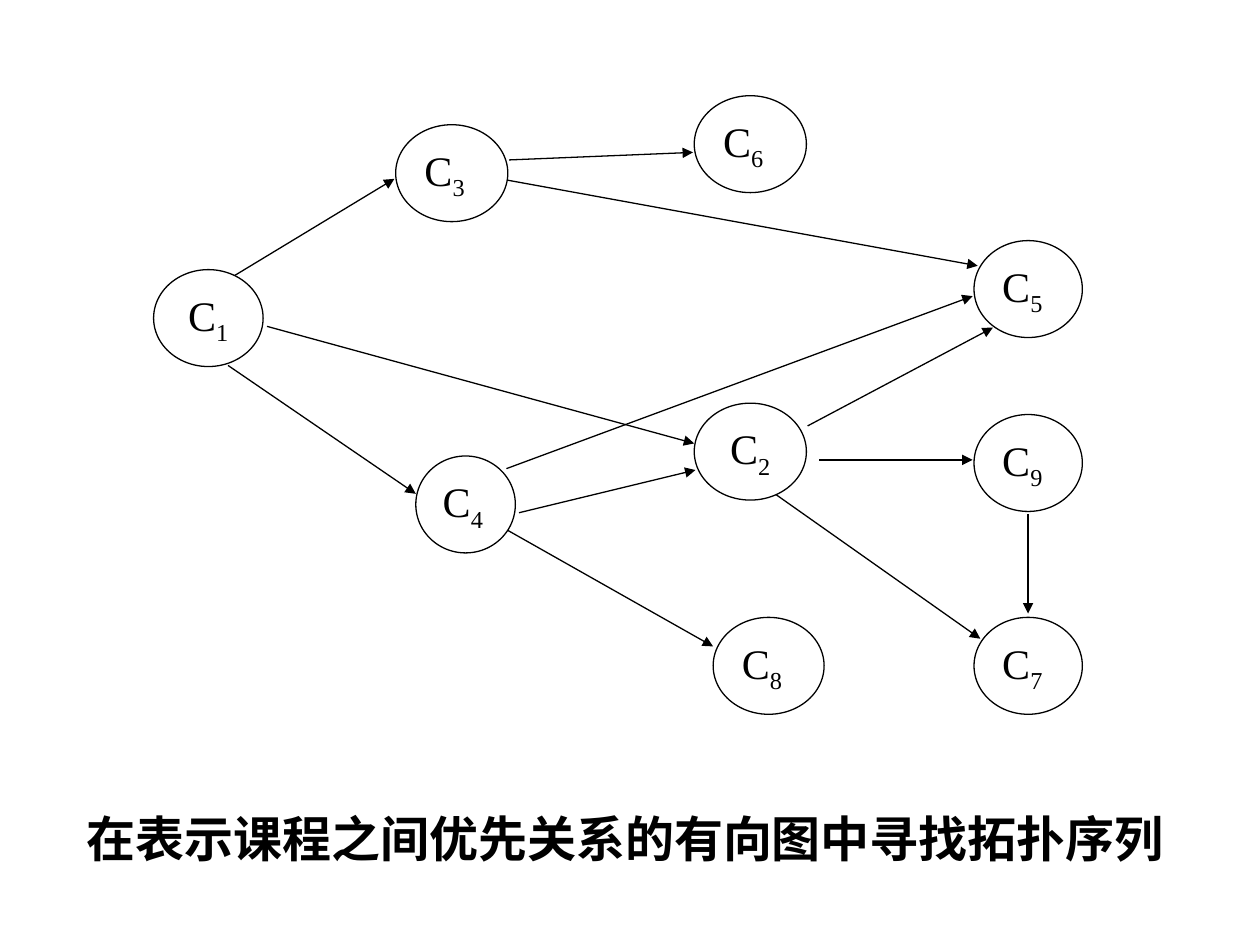
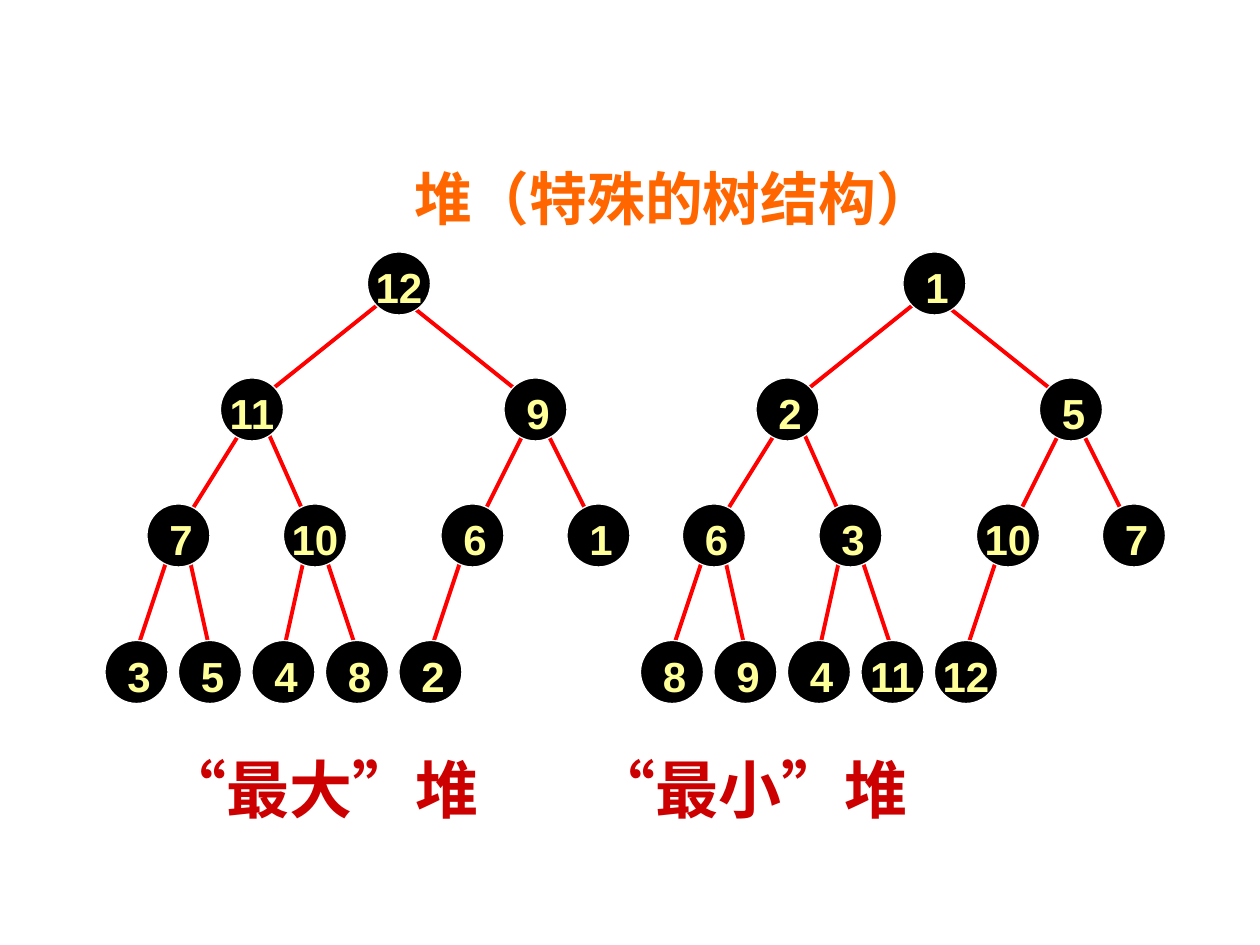
from pptx import Presentation
from pptx.dml.color import RGBColor
from pptx.enum.shapes import MSO_CONNECTOR, MSO_SHAPE
from pptx.enum.text import MSO_ANCHOR, MSO_AUTO_SIZE, PP_ALIGN
from pptx.oxml.ns import qn
from pptx.util import Pt
from lxml import etree

OVAL = MSO_SHAPE.OVAL
STRAIGHT = MSO_CONNECTOR.STRAIGHT
LEFT, CENTER, JUSTIFY = PP_ALIGN.LEFT, PP_ALIGN.CENTER, PP_ALIGN.JUSTIFY
TOP, MIDDLE = MSO_ANCHOR.TOP, MSO_ANCHOR.MIDDLE
NO_AUTOFIT = MSO_AUTO_SIZE.NONE

BLACK, WHITE, RED = "000000", "FFFFFF", "FF0000"
ORANGE, CRIMSON, YELLOW = "FF6600", "CC0000", "FFFF99"
SERIF, SANS, CJK = "Times New Roman", "Arial", "Noto Sans CJK SC"


def color(hex_value):
    return RGBColor.from_string(hex_value)


def write(shape, text, size=24, font=SERIF, ink=BLACK, bold=False, align=LEFT,
          anchor=TOP, insets=(7.2, 3.6, 7.2, 3.6), subscript="", tab=None):
    frame = shape.text_frame
    frame.word_wrap = True
    frame.auto_size = NO_AUTOFIT
    frame.vertical_anchor = anchor
    frame.margin_left, frame.margin_top, frame.margin_right, frame.margin_bottom = map(Pt, insets)
    paragraph = frame.paragraphs[0]
    paragraph.alignment = align
    if tab:
        stops = etree.SubElement(paragraph._p.get_or_add_pPr(), qn("a:tabLst"))
        etree.SubElement(stops, qn("a:tab"), pos=str(Pt(tab)), algn="l")
    for part in filter(None, (text, subscript)):
        run = paragraph.add_run()
        run.text = part
        run.font.size = Pt(size)
        run.font.bold = bold
        run.font.name = font
        run.font.color.rgb = color(ink)
        properties = run._r.get_or_add_rPr()
        etree.SubElement(properties, qn("a:ea"), typeface=CJK)
        if part is subscript:
            properties.set("baseline", "-25000")


deck = Presentation()
deck.slide_width, deck.slide_height = Pt(720), Pt(540)
title_only = deck.slide_layouts[5]
course_slide = deck.slides.add_slide(title_only)
heap_slide = deck.slides.add_slide(title_only)

headings = [
    (course_slide, "在表示课程之间优先关系的有向图中寻找拓扑序列", (42.5, 458.6, 657.4, 54),
     dict(size=28)),
    (heap_slide, "堆（特殊的树结构）", (184.3, 82.8, 401.8, 59.8),
     dict(size=33, ink=ORANGE, align=CENTER, anchor=MIDDLE, insets=(8.6, 4.3, 8.6, 4.3))),
]
for slide, heading, box, style in headings:
    title = slide.shapes.title
    title.left, title.top, title.width, title.height = map(Pt, box)
    write(title, heading, bold=True, **style)

courses = [
    ("1", 87.8, 154.1, 62.6, CENTER),
    ("2", 396.7, 230.4, 64.1, CENTER),
    ("3", 226.1, 71.3, 64.1, JUSTIFY),
    ("6", 396.7, 54.7, 64.1, JUSTIFY),
    ("4", 237.6, 260.6, 56.9, JUSTIFY),
    ("5", 556.6, 137.5, 61.9, JUSTIFY),
    ("9", 556.6, 236.9, 61.9, JUSTIFY),
    ("7", 556.6, 352.8, 61.9, JUSTIFY),
    ("8", 407.5, 352.8, 63.4, JUSTIFY),
]
prerequisites = [
    (132.5, 158.4, 225.4, 102.2),
    (130.3, 208.8, 237.6, 282.2),
    (152.6, 186.5, 396.7, 253.4),
    (290.9, 91.4, 396, 87.1),
    (296.6, 293, 397.4, 268.6),
    (290.2, 303.1, 407.5, 369.4),
    (289.4, 267.8, 555.8, 169.2),
    (461.5, 243.4, 567.4, 187.2),
    (290.2, 103, 558.7, 151.9),
    (468, 262.8, 555.8, 262.8),
    (442.8, 282.2, 560.2, 365),
    (587.5, 293.8, 587.5, 350.6),
]
nodes = [
    (course_slide, (left, top, width, 55.4), WHITE, BLACK, "C",
     dict(subscript=number, align=align, anchor=MIDDLE))
    for number, left, top, width, align in courses
]
edges = [(course_slide, ends, BLACK, 0.75, True) for ends in prerequisites]

NODE_SIZE = 36
HEAP_GAP = 306
level_tops = [144, 216, 288, 366]
level_lefts = [[210], [126, 288], [84, 162, 252, 324], [60, 102, 144, 186, 228]]
branches = [
    [(216, 156), (234, 294)],
    [(138, 108), (152.7, 174), (300, 276), (312, 336)],
    [(96, 78), (108, 120), (174, 162), (186, 204), (264, 246)],
]
heaps = [
    [12, 11, 9, 7, 10, 6, 1, 3, 5, 4, 8, 2],
    [1, 2, 5, 6, 3, 10, 7, 8, 9, 4, 11, 12],
]
places = [(left, top) for top, lefts in zip(level_tops, level_lefts) for left in lefts]
for index, keys in enumerate(heaps):
    shift = index * HEAP_GAP
    for top, next_top, level in zip(level_tops, level_tops[1:], branches):
        for parent_x, child_x in level:
            ends = (parent_x + shift, top + 30, child_x + shift, next_top + 6)
            edges.append((heap_slide, ends, RED, 2.25, False))
    for key, (left, top) in zip(keys, places):
        nudge = 3 if key < 10 else 0
        style = dict(font=SANS, ink=YELLOW, bold=True, align=CENTER, anchor=MIDDLE,
                     insets=(nudge - 6, 4, -6, 0))
        nodes.append((heap_slide, (left + shift, top, NODE_SIZE, NODE_SIZE),
                      BLACK, WHITE, str(key), style))

for slide, ends, stroke, weight, directed in edges:
    edge = slide.shapes.add_connector(STRAIGHT, *map(Pt, ends))
    edge.line.color.rgb = color(stroke)
    edge.line.width = Pt(weight)
    if directed:
        etree.SubElement(edge.line._get_or_add_ln(), qn("a:tailEnd"), type="triangle")
    etree.SubElement(edge._element.spPr, qn("a:effectLst"))

for slide, box, fill, outline, label, style in nodes:
    node = slide.shapes.add_shape(OVAL, *map(Pt, box))
    node.shadow.inherit = False
    node.fill.solid()
    node.fill.fore_color.rgb = color(fill)
    node.line.color.rgb = color(outline)
    node.line.width = Pt(0.75)
    write(node, label, **style)

heap_names = heap_slide.shapes.add_textbox(Pt(84.8), Pt(424.8), Pt(453.8), Pt(52.6))
write(heap_names, "“最大”堆\t“最小”堆", size=36, font=CJK, ink=CRIMSON, bold=True,
      insets=(8.6, 4.3, 8.6, 4.3), tab=245.1)

deck.save("out.pptx")
